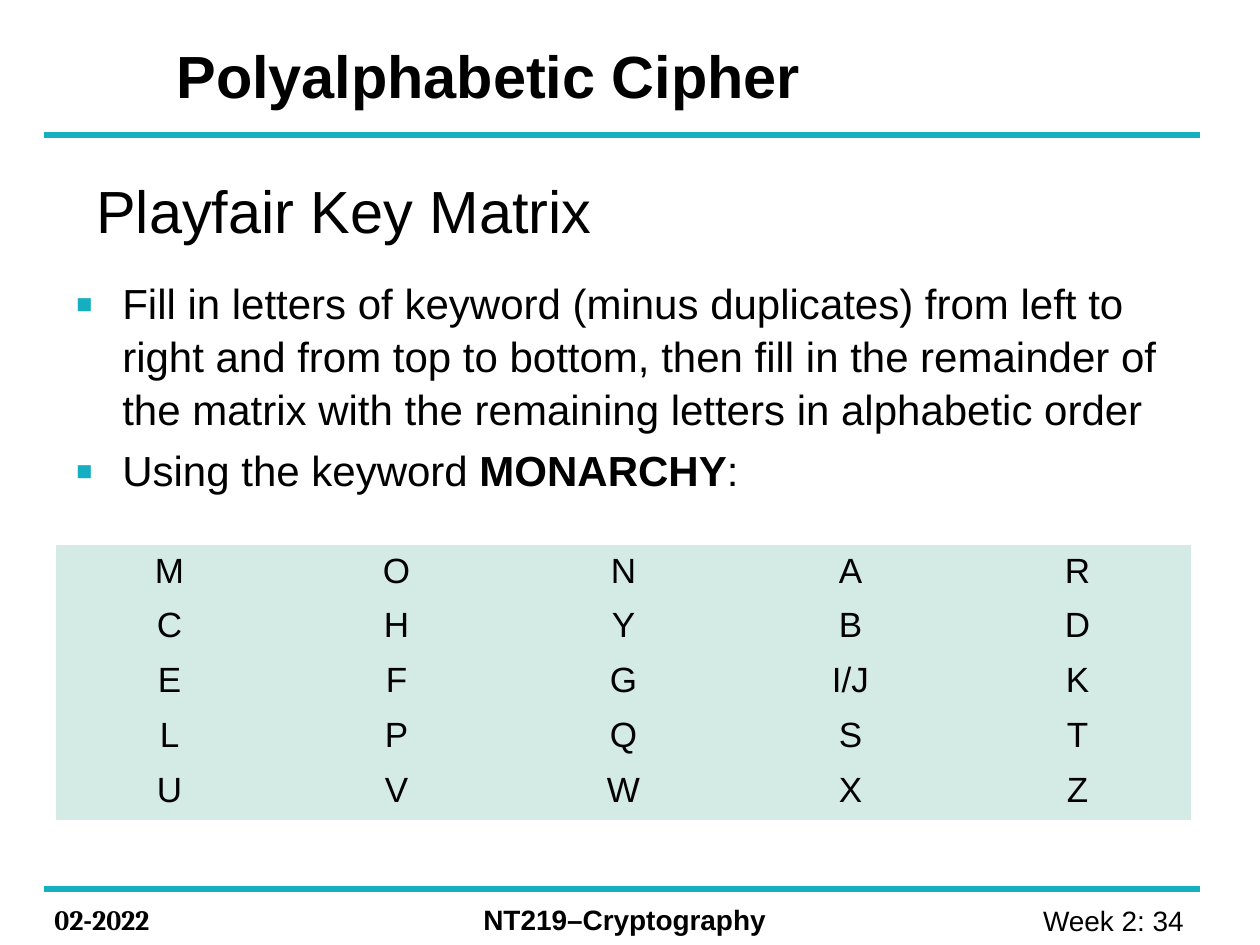
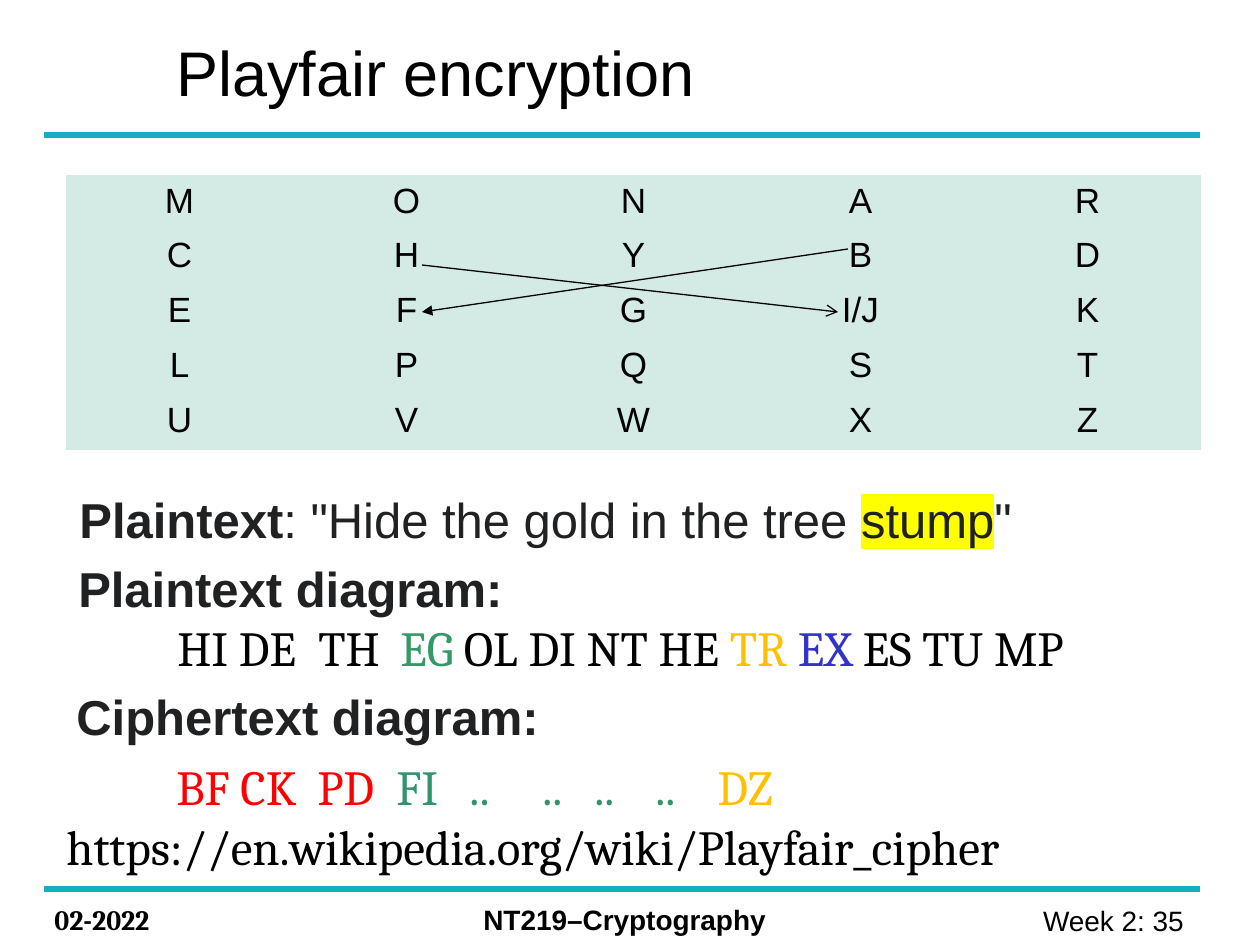
from lxml import etree
from pptx import Presentation, util as u
from pptx.dml.color import RGBColor
from pptx.enum import shapes, text
from pptx.oxml import ns

WIDE, HIGH, DPI = 1260, 945, 126
TEAL, MINT, INK, BLACK = "16AFC2", "D4EAE4", "202122", "000000"
GREEN, SEA, GOLD, BLUE, RED = "339966", "32946A", "FFC000", "3333CC", "FF0000"
NO_GRID = "{2D5ABB26-0587-4C30-8999-92F81FD0307C}"

MATRIX = ["M O N A R", "C H Y B D", "E F G I/J K", "L P Q S T", "U V W X Z"]
CELL_W, CELL_H = 227, 55

RULES = [(44, 135, 1200, 135), (44, 889, 1200, 889)]
FOOTER = [
    ((42, 896, 168, 47), "02-2022", dict(name="Cambria", bold=True)),
    ((471, 896, 456, 47), "NT219–Cryptography", dict(bold=True)),
]
PAGE_BOX = (927, 897, 277, 47)

# A paragraph is a list of (text, format) runs.
BULLETS = [
    [("Fill in letters of keyword (minus duplicates) from left to right and "
      "from top to bottom, then fill in the remainder of the matrix with the "
      "remaining letters in alphabetic order", {})],
    [("Using the keyword ", {}), ("MONARCHY", dict(bold=True)), (":", {})],
]
SERIF = dict(size=28, name="Cambria")
LABEL = dict(size=28, color=INK)
HEAD = dict(LABEL, bold=True)

# Box, runs, base format, tab stops.
EXAMPLE = [
    ((67, 483, 1037, 72),
     [("Plaintext", dict(bold=True)), (': "Hide the gold in the tree ', {}),
      ("stump", dict(mark="FFFF00")), ('"', {})], LABEL, []),
    ((66, 552, 480, 72), [("Plaintext diagram:", {})], HEAD, []),
    ((165, 611, 1050, 72),
     [("HI DE\tTH\t", {}), ("EG ", dict(color=GREEN)), ("OL DI NT HE ", {}),
      ("TR", dict(color=GOLD)), (" EX ", dict(color=BLUE)), ("ES TU MP", {})],
     SERIF, [141, 223]),
    ((64, 680, 520, 72), [("Ciphertext diagram:", {})], HEAD, []),
    ((164, 750, 1050, 72),
     [("BF CK\tPD\t", dict(color=RED)),
      ("FI\t..\t..\t..\t..\t", dict(color=SEA)), ("DZ", dict(color=GOLD))],
     SERIF, [141, 220, 293, 366, 418, 479, 541]),
    ((54, 810, 1190, 72),
     [("https://en.wikipedia.org/wiki/Playfair_cipher", {})], SERIF, []),
]
ARROWS = [((422, 265, 838, 312), "arrow"), ((848, 249, 422, 312), "triangle")]


def px(n):
    return u.Emu(round(n * 914400 / DPI))


def rgb(code):
    return RGBColor.from_string(code)


def sub(node, tag, **attrs):
    """Append an XML child such as a:tab."""
    return etree.SubElement(node, ns.qn(tag), attrs)


def add_run(para, words, form):
    run = para.add_run()
    run.text = words
    form = dict(dict(name="Arial", color=BLACK), **form)
    color, mark = form.pop("color"), form.pop("mark", None)
    run.font.color.rgb = rgb(color)
    if mark:
        light = sub(run.font._element, "a:highlight")
        sub(light, "a:srgbClr", val=mark)
    for key, val in form.items():
        setattr(run.font, key, u.Pt(val) if key == "size" else val)


def add_box(slide, box, paras, form, tabs=(), bullet=False, **frame):
    shape = slide.shapes.add_textbox(*map(px, box))
    body = shape.text_frame
    body.word_wrap = True
    align = frame.pop("align", None)
    for key, val in frame.items():
        setattr(body, key, val)
    for i, runs in enumerate(paras):
        para = body.add_paragraph() if i else body.paragraphs[0]
        para.alignment = align
        if bullet:
            para.line_spacing = 1.05
            if i:
                para.space_before = u.Pt(4.8)
            add_bullet(para)
        if tabs:
            stops = sub(para._p.get_or_add_pPr(), "a:tabLst")
            for stop in tabs:
                sub(stops, "a:tab", pos=str(px(stop)), algn="l")
        for words, extra in runs:
            add_run(para, words, dict(form, **extra))


def add_bullet(para):
    props = para._p.get_or_add_pPr()
    props.set("marL", str(px(47)))
    props.set("indent", str(px(-47)))
    sub(sub(props, "a:buClr"), "a:srgbClr", val=TEAL)
    sub(props, "a:buSzPct", val="125000")
    sub(props, "a:buFont", typeface="Arial")
    sub(props, "a:buChar", char="▪")


def add_line(slide, ends, color, width, tip=None):
    line = slide.shapes.add_connector(shapes.MSO_CONNECTOR.STRAIGHT, *map(px, ends))
    line.line.color.rgb = rgb(color)
    line.line.width = u.Pt(width)
    if tip:
        sub(line.line._get_or_add_ln(), "a:tailEnd", type=tip)
    sub(line._element.spPr, "a:effectLst")


def add_matrix(slide, left, top):
    rows = [row.split() for row in MATRIX]
    size = len(rows)
    spot = map(px, (left, top, CELL_W * size, CELL_H * size))
    table = slide.shapes.add_table(size, size, *spot).table
    table.first_row = table.horz_banding = False
    table._tbl.tblPr.find(ns.qn("a:tableStyleId")).text = NO_GRID
    for r, row in enumerate(rows):
        table.rows[r].height = px(CELL_H)
        table.columns[r].width = px(CELL_W)
        for c, letter in enumerate(row):
            cell = table.cell(r, c)
            cell.fill.solid()
            cell.fill.fore_color.rgb = rgb(MINT)
            para = cell.text_frame.paragraphs[0]
            para.alignment = text.PP_ALIGN.CENTER
            add_run(para, letter, dict(size=20))


def add_title(slide, box, words, **form):
    add_box(slide, box, [[(words, form)]], {},
            vertical_anchor=text.MSO_ANCHOR.MIDDLE)


def new_slide(deck, page):
    """Add a blank slide with the shared rules and footer."""
    slide = deck.slides.add_slide(deck.slide_layouts[6])
    for ends in RULES:
        add_line(slide, ends, TEAL, 3)
    for box, words, form in FOOTER:
        add_box(slide, box, [[(words, form)]], dict(size=16))
    add_box(slide, PAGE_BOX, [[(f"Week 2: {page} ", {})]], dict(size=16),
            align=text.PP_ALIGN.RIGHT)
    return slide


def main():
    deck = Presentation()
    deck.slide_width, deck.slide_height = px(WIDE), px(HIGH)

    slide = new_slide(deck, 34)
    add_title(slide, (164, 33, 1062, 84), "Polyalphabetic Cipher", size=34, bold=True)
    add_title(slide, (84, 168, 1022, 84), "Playfair Key Matrix", size=34)
    add_box(slide, (63, 269, 1134, 231), BULLETS, dict(size=24), bullet=True)
    add_matrix(slide, 56, 545)

    slide = new_slide(deck, 35)
    add_title(slide, (164, 27, 1022, 89), "Playfair encryption", size=36)
    add_matrix(slide, 66, 175)
    for box, runs, form, tabs in EXAMPLE:
        add_box(slide, box, [runs], form, tabs)
    for ends, tip in ARROWS:
        add_line(slide, ends, BLACK, 0.75, tip)

    deck.save("out.pptx")


if __name__ == "__main__":
    main()
